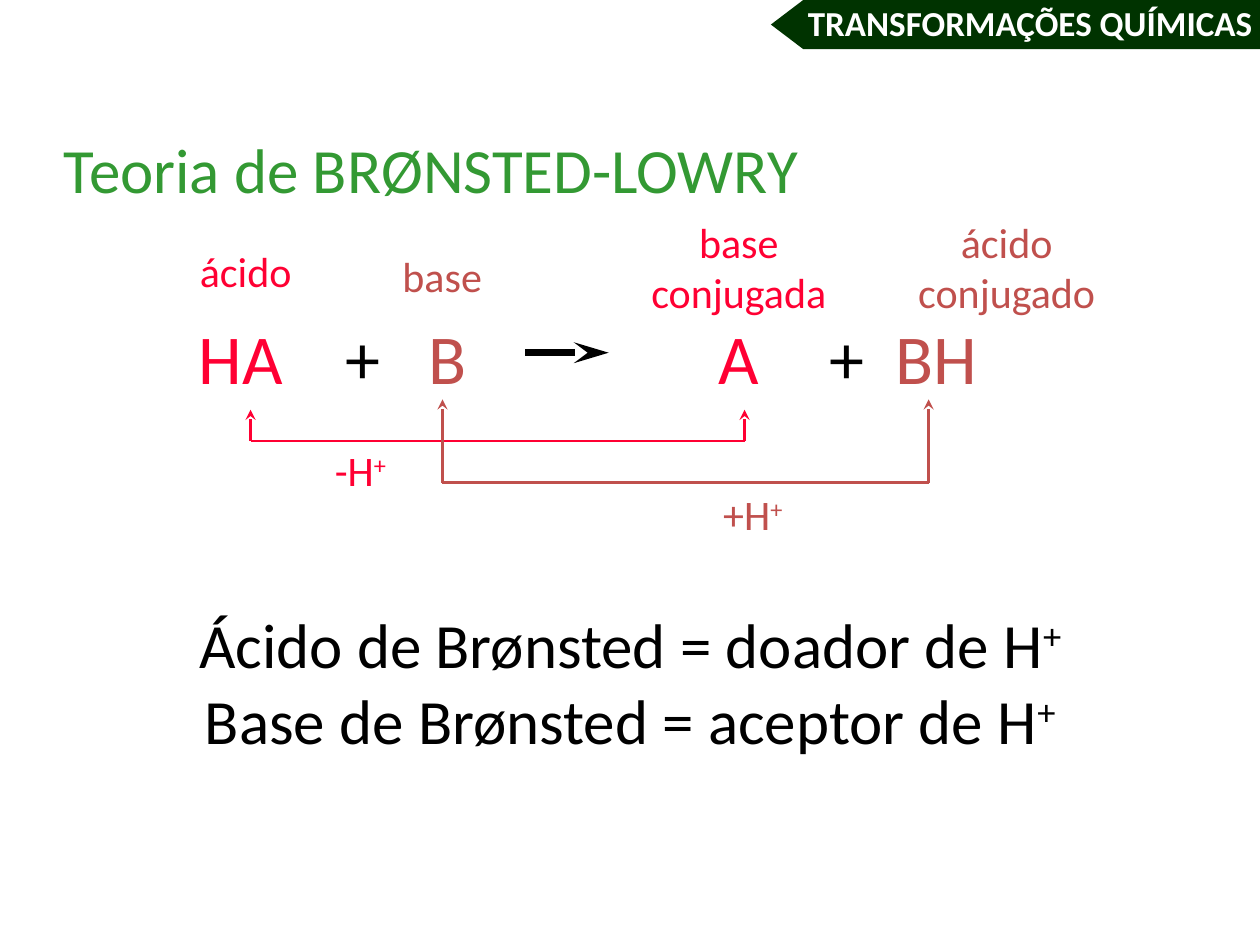
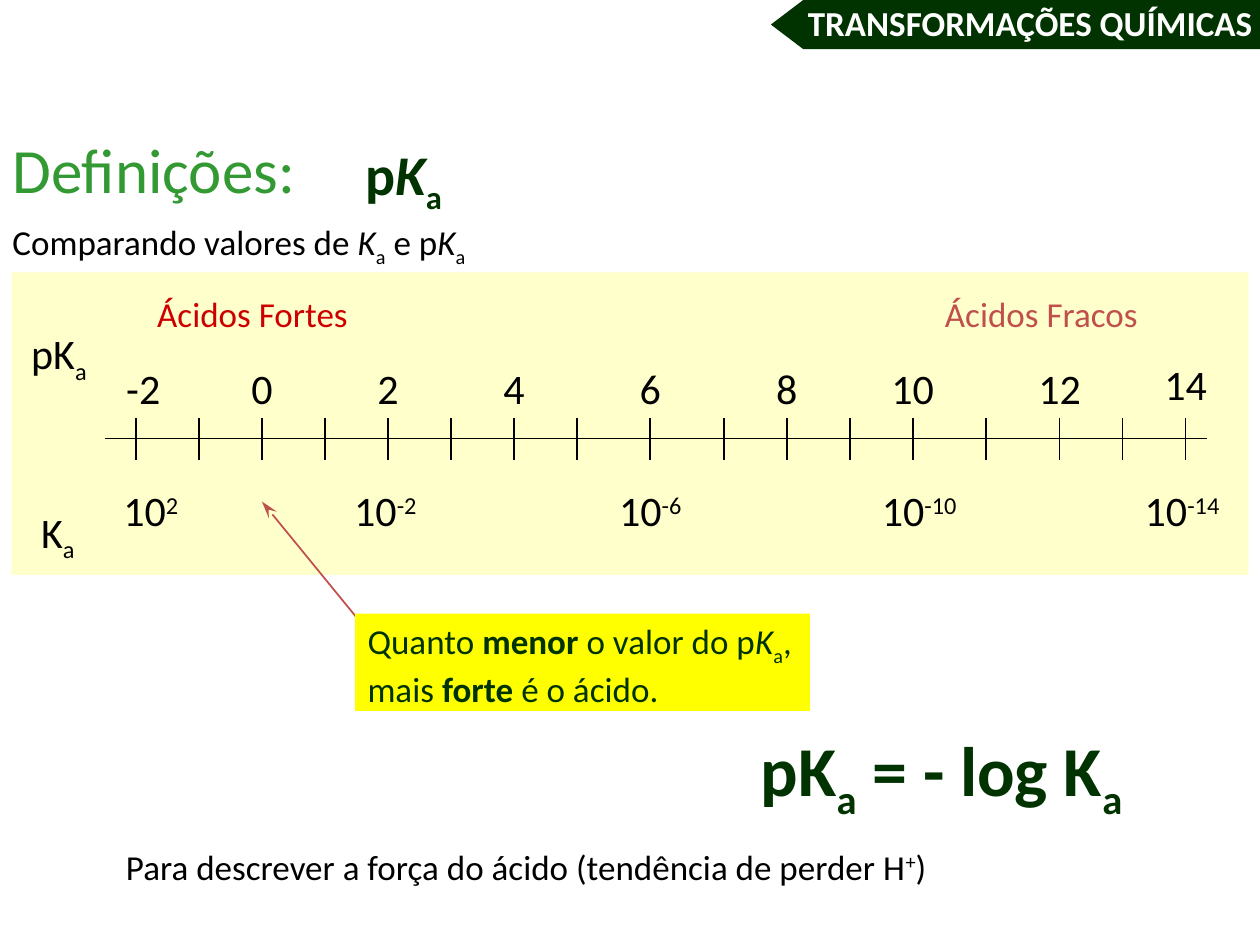
from itertools import accumulate

from lxml import etree
from pptx import Presentation
from pptx.dml.color import RGBColor
from pptx.enum.shapes import MSO_CONNECTOR, MSO_SHAPE
from pptx.enum.text import MSO_ANCHOR, PP_ALIGN
from pptx.oxml.ns import qn
from pptx.util import Cm, Pt

STRAIGHT = MSO_CONNECTOR.STRAIGHT
RECTANGLE, PENTAGON = MSO_SHAPE.RECTANGLE, MSO_SHAPE.PENTAGON
LEFT, CENTER = PP_ALIGN.LEFT, PP_ALIGN.CENTER
TOP = MSO_ANCHOR.TOP

FONT = "Calibri"
COLORS = {
    "dark": "003300",
    "title": "339933",
    "red": "FF0033",
    "brick": "C0504D",
    "strong": "CC0000",
    "panel": "FFFF99",
    "callout": "FFFF00",
    "black": "000000",
    "white": "FFFFFF",
}
SUB = {"baseline": -25}
SUP = {"baseline": 30}
BOLD = {"bold": True}
ITALIC = {"italic": True}
PKA = ["p", ("K", ITALIC), ("a", SUB)]


def rgb(name):
    return RGBColor.from_string(COLORS[name])


def add_text(slide, text, box, **style):
    frame = slide.shapes.add_textbox(*map(Cm, box)).text_frame
    write(frame, text, **style)


def write(frame, text, size=24, color="black", bold=False, align=LEFT,
          wrap=False, spacing=None, tabs=()):
    frame.word_wrap = wrap
    frame.vertical_anchor = TOP
    lines = [[text]] if isinstance(text, str) else text
    for index, line in enumerate(lines):
        paragraph = frame.add_paragraph() if index else frame.paragraphs[0]
        paragraph.alignment = align
        if spacing:
            paragraph.line_spacing = spacing
        if tabs:
            stops = etree.SubElement(paragraph._p.get_or_add_pPr(), qn("a:tabLst"))
            for stop in tabs:
                etree.SubElement(stops, qn("a:tab"), pos=str(Cm(stop)), algn="l")
        for piece in line:
            words, look = (piece, {}) if isinstance(piece, str) else piece
            run = paragraph.add_run()
            run.text = words
            run.font.name = FONT
            run.font.size = Pt(size)
            run.font.bold = look.get("bold", bold)
            run.font.italic = look.get("italic", False)
            run.font.color.rgb = rgb(look.get("color", color))
            if "baseline" in look:
                run._r.get_or_add_rPr().set("baseline", str(look["baseline"] * 1000))


def add_block(slide, preset, box, color, alpha=None):
    block = slide.shapes.add_shape(preset, *map(Cm, box))
    block.shadow.inherit = False
    block.fill.solid()
    block.fill.fore_color.rgb = rgb(color)
    block.line.fill.background()
    if alpha:
        fill = block._element.spPr.find(qn("a:solidFill"))
        etree.SubElement(fill[0], qn("a:alpha"), val=str(alpha * 1000))
    return block


def add_line(slide, start, end, color="black", width=1, head=None):
    line = slide.shapes.add_connector(STRAIGHT, *map(Cm, (*start, *end)))
    line.line.color.rgb = rgb(color)
    line.line.width = Pt(width)
    if head:
        etree.SubElement(line.line._get_or_add_ln(), qn("a:tailEnd"),
                         type="stealth", len=head)
    etree.SubElement(line._element.spPr, qn("a:effectLst"))


def add_banner(slide, box):
    left, top, width, height = box
    band = add_block(slide, PENTAGON, box, "dark")
    band.rotation = 180
    band.adjustments[0] = 0.658
    add_text(slide, "TRANSFORMAÇÕES QUÍMICAS",
             (left + 0.44, top - 0.1, width - 0.35, height + 0.13),
             size=20, color="white", bold=True, align=CENTER, wrap=True)


def add_title(slide, text, left, width):
    add_text(slide, text, (left, 2.51, width, 1.8), size=36, color="title")


def start_slide(deck):
    slide = deck.slides.add_slide(deck.slide_layouts[6])
    add_banner(slide, (15.54, 0, 9.93, 0.99))
    return slide


def add_transfer(slide, box, color):
    left, top, width, height = box
    right, base = left + width, top + height
    add_line(slide, (left, base), (right, base), color, 1.5)
    for x in (left, right):
        add_line(slide, (x, base), (x, top), color, 1.5, head="med")


def add_equation(slide, box):
    left, top, width, height = box
    red, brick = {"color": "red"}, {"color": "brick"}
    species = [("HA", red), "\t+", ("\tB", brick), ("\tA", red), "\t+", ("\tBH", brick)]
    add_text(slide, [species], (left, top + 1.98, width, 1.96), size=40, wrap=True,
             tabs=(2.95, 4.63, 10.47, 12.72, 14.05))
    roles = [
        ([["ácido"]], 0, 0.58, 2.39, "red"),
        ([["base"]], 4.09, 0.69, 2.13, "brick"),
        ([["base"], ["conjugada"]], 9.09, 0, 4.09, "red"),
        ([["ácido"], ["conjugado"]], 14.48, 0, 4.11, "brick"),
    ]
    for role, x, y, role_width, color in roles:
        add_text(slide, role, (left + x, top + y, role_width, 1.3 * len(role)),
                 color=color, align=CENTER)
    add_line(slide, (left + 6.83, top + 2.87), (left + 8.51, top + 2.87),
             width=4, head="lg")
    add_transfer(slide, (left + 1.29, top + 4.02, 9.96, 0.63), "red")
    add_transfer(slide, (left + 5.16, top + 3.81, 9.8, 1.68), "brick")
    add_text(slide, [["+H", ("+", SUP)]], (left + 10.57, top + 5.49, 1.75, 1.3),
             color="brick")
    add_text(slide, [["-H", ("+", SUP)]], (left + 2.74, top + 4.6, 1.6, 1.3), color="red")


def add_scale(slide, box):
    left, top, width, height = box
    add_block(slide, RECTANGLE, box, "panel", alpha=50)
    add_line(slide, (left + 1.88, top + 3.35), (left + 24.1, top + 3.35))
    wide_gaps = (6, 7, 11, 12)
    gaps = [1.48 if pka in wide_gaps else 1.27 for pka in range(-1, 15)]
    ticks = dict(zip(range(-2, 15), accumulate(gaps, initial=left + 2.51)))
    for x in ticks.values():
        add_line(slide, (x, top + 2.94), (x, top + 3.78))

    nudges = {-2: (0.15, 0), 14: (0, -0.08)}
    for pka in range(-2, 15, 2):
        dx, dy = nudges.get(pka, (0, 0))
        label = str(pka)
        label_width = 0.7 + 0.42 * len(label)
        add_text(slide, label, (ticks[pka] + dx - label_width / 2, top + 1.7 + dy,
                                label_width, 1.3), align=CENTER)
    ka_shifts = {-2: 0.3, 2: -0.05, 6: 0, 10: 0.13, 14: -0.07}
    for pka, dx in ka_shifts.items():
        power = str(-pka)
        label_width = 1.6 + 0.24 * len(power)
        add_text(slide, [["10", (power, SUP)]],
                 (ticks[pka] + dx - label_width / 2, top + 4.16, label_width, 1.3),
                 align=CENTER)

    add_text(slide, [["pK", ("a", SUB)]], (left + 0.15, top + 0.99, 1.68, 1.3))
    add_text(slide, [["K", ("a", SUB)]], (left + 0.35, top + 4.59, 1.22, 1.3))
    add_text(slide, "Ácidos Fortes", (left + 2.69, top + 0.28, 4.39, 1.12),
             size=20, color="strong")
    add_text(slide, "Ácidos Fracos", (left + 18.57, top + 0.28, 4.45, 1.12),
             size=20, color="brick")


def add_callout(slide, box):
    left, top, width, height = box
    add_line(slide, (left + 0.03, top + 0.08), (left - 1.88, top - 2.26),
             "brick", head="lg")
    note = add_block(slide, RECTANGLE, box, "callout")
    write(note.text_frame, [
        ["Quanto ", ("menor ", BOLD), "o valor do ", *PKA, ","],
        ["mais ", ("forte ", BOLD), "é o ácido."],
    ], size=20, color="dark")


def build_theory(deck):
    slide = start_slide(deck)
    add_equation(slide, (3.76, 4.24, 17, 6.8))
    add_title(slide, "Teoria de BRØNSTED-LOWRY", 1.04, 15.44)
    add_text(slide, [
        ["Ácido de Brønsted = doador de H", ("+", SUP)],
        ["Base de Brønsted = aceptor de H", ("+", SUP)],
    ], (3.23, 12.09, 18.95, 3.33), size=36, align=CENTER, wrap=True)


def build_definitions(deck):
    slide = start_slide(deck)
    add_scale(slide, (0.23, 5.49, 24.94, 6.1))
    add_callout(slide, (7.16, 12.37, 9.17, 1.96))
    add_text(slide, [["Para descrever a força do ácido (tendência de perder H",
                      ("+", SUP), ")"]], (2.29, 16.92, 16.84, 1.12), size=20)
    add_title(slide, "Definições:", 0, 6.27)
    add_text(slide, [["pK", ("a", SUB), " = - log K", ("a", SUB)]],
             (15.09, 14.53, 7.95, 1.96), size=40, color="dark", bold=True)
    add_text(slide, [["Comparando valores de ", *PKA[1:], " e ", *PKA]],
             (0, 4.32, 9.78, 1.12), size=20)
    add_text(slide, [PKA], (7.11, 2.31, 2.79, 1.96), size=32, color="dark",
             bold=True, wrap=True, spacing=1.25)


def main():
    deck = Presentation()
    deck.slide_width, deck.slide_height = Cm(25.4), Cm(19.05)
    build_theory(deck)
    build_definitions(deck)
    deck.save("out.pptx")


if __name__ == "__main__":
    main()
